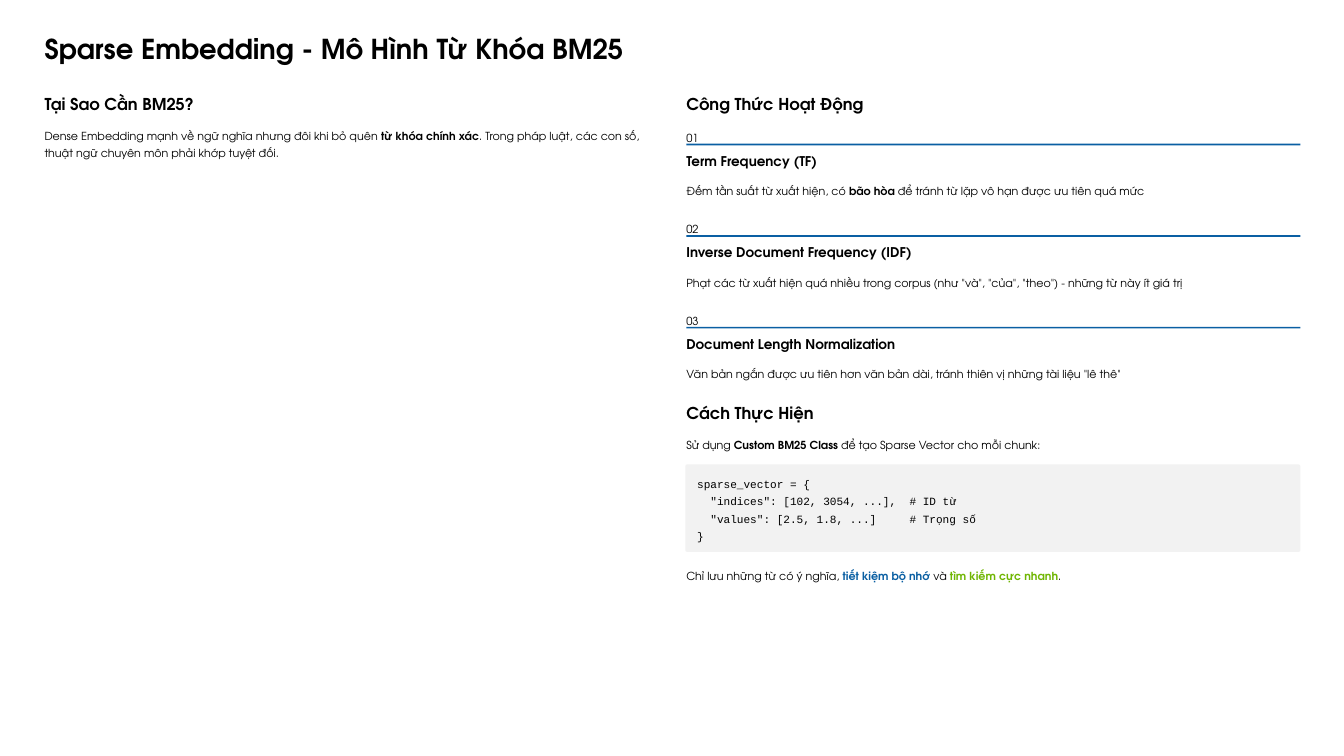
from dataclasses import dataclass

from pptx import Presentation
from pptx.dml.color import RGBColor
from pptx.enum.shapes import MSO_SHAPE
from pptx.enum.text import MSO_ANCHOR, MSO_AUTO_SIZE, PP_ALIGN
from pptx.util import Inches, Pt

COLORS = {"black": "000000", "blue": "0A5FA3", "green": "70B603",
          "gray": "F2F2F2", "white": "FFFFFF"}
SANS, MONO = "TeX Gyre Adventor", "Courier New"
LEFT, RIGHT, WIDE = 0.53, 8.17, 7.31
TOP, PITCH = 1.51, 1.09


@dataclass
class Style:
    size: float
    line: float
    bold: bool = False
    font: str = SANS


@dataclass
class Span:
    text: str
    bold: bool = False
    color: str = "black"


@dataclass
class Label:
    x: float
    y: float
    w: float
    h: float
    style: Style
    lines: list[list[Span]]
    wrap: bool = False


@dataclass
class Step:
    name: str
    width: float
    note: list[Span]


TITLE = Style(23.5, 29.5, True)
HEAD = Style(14, 17.5, True)
SUB = Style(11.5, 14.5, True)
BODY = Style(9.5, 15)
CODE = Style(9.5, 15, font=MONO)


def paint(name: str) -> RGBColor:
    return RGBColor.from_string(COLORS[name])


def write(shape, label: Label) -> None:
    shape.left, shape.top = Inches(label.x), Inches(label.y)
    shape.width, shape.height = Inches(label.w), Inches(label.h)
    frame, style = shape.text_frame, label.style
    frame.margin_left = frame.margin_right = 0
    frame.margin_top = frame.margin_bottom = 0
    frame.auto_size = MSO_AUTO_SIZE.NONE
    frame.word_wrap = label.wrap
    frame.vertical_anchor = MSO_ANCHOR.TOP
    for i, spans in enumerate(label.lines):
        para = frame.add_paragraph() if i else frame.paragraphs[0]
        para.alignment = PP_ALIGN.LEFT
        para.line_spacing = Pt(style.line)
        para.font.name, para.font.size = style.font, Pt(style.size)
        para.font.bold = style.bold
        para.font.color.rgb = paint("black")
        for span in spans:
            run = para.add_run()
            run.text = span.text
            if span.bold:
                run.font.bold = True
            if span.color != "black":
                run.font.color.rgb = paint(span.color)


def add_text(slide, label: Label) -> None:
    write(slide.shapes.add_textbox(0, 0, 0, 0), label)


def add_block(slide, kind: MSO_SHAPE, x: float, y: float, w: float, h: float,
              color: str, round_by: float = 0) -> None:
    block = slide.shapes.add_shape(kind, Inches(x), Inches(y), Inches(w), Inches(h))
    block.shadow.inherit = False
    block.fill.solid()
    block.fill.fore_color.rgb = paint(color)
    block.line.fill.background()
    if round_by:
        block.adjustments[0] = round_by


def add_step(slide, index: int, step: Step) -> None:
    y = TOP + index * PITCH
    add_text(slide, Label(RIGHT, y, 0.13, 0.17, BODY, [[Span(f"{index + 1:02}")]]))
    add_block(slide, MSO_SHAPE.RECTANGLE, RIGHT, y + 0.2, WIDE, 0.02, "blue")
    add_text(slide, Label(RIGHT, y + 0.3, step.width, 0.21, SUB, [[Span(step.name)]]))
    add_text(slide, Label(RIGHT, y + 0.64, WIDE, 0.21, BODY, [step.note]))


STEPS = [
    Step("Term Frequency (TF)", 1.65, [
        Span("Đếm tần suất từ xuất hiện, có "), Span("bão hòa", True),
        Span(" để tránh từ lặp vô hạn được ưu tiên quá mức")]),
    Step("Inverse Document Frequency (IDF)", 2.65, [
        Span('Phạt các từ xuất hiện quá nhiều trong corpus (như "và", "của", "theo")'
             ' - những từ này ít giá trị')]),
    Step("Document Length Normalization", 2.5, [
        Span('Văn bản ngắn được ưu tiên hơn văn bản dài, '
             'tránh thiên vị những tài liệu "lê thê"')]),
]

LISTING = """sparse_vector = {
  "indices": [102, 3054, ...],  # ID từ
  "values": [2.5, 1.8, ...]     # Trọng số
}"""

HEADING = Label(LEFT, 0.36, WIDE, 0.41, TITLE,
                [[Span("Sparse Embedding - Mô Hình Từ Khóa BM25")]])

LABELS = [
    Label(LEFT, 1.11, 1.99, 0.25, HEAD, [[Span("Tại Sao Cần BM25?")]]),
    Label(LEFT, 1.49, WIDE, 0.42, BODY, [[
        Span("Dense Embedding mạnh về ngữ nghĩa nhưng đôi khi bỏ quên "),
        Span("từ khóa chính xác", True),
        Span(". Trong pháp luật, các con số, thuật ngữ chuyên môn "
             "phải khớp tuyệt đối.")]], True),
    Label(RIGHT, 1.11, 2.04, 0.25, HEAD, [[Span("Công Thức Hoạt Động")]]),
    Label(RIGHT, 4.79, 1.99, 0.25, HEAD, [[Span("Cách Thực Hiện")]]),
    Label(RIGHT, 5.17, WIDE, 0.21, BODY, [[
        Span("Sử dụng "), Span("Custom BM25 Class", True),
        Span(" để tạo Sparse Vector cho mỗi chunk:")]]),
    Label(8.3, 5.63, 7.06, 0.85, CODE,
          [[Span(line)] for line in LISTING.split("\n")], True),
    Label(RIGHT, 6.73, WIDE, 0.21, BODY, [[
        Span("Chỉ lưu những từ có ý nghĩa, "),
        Span("tiết kiệm bộ nhớ", True, "blue"), Span(" và "),
        Span("tìm kiếm cực nhanh", True, "green"), Span(".")]]),
]


def main() -> None:
    deck = Presentation()
    deck.slide_width, deck.slide_height = Inches(16), Inches(9)
    slide = deck.slides.add_slide(deck.slide_layouts[5])
    slide.background.fill.solid()
    slide.background.fill.fore_color.rgb = paint("white")

    # Title
    write(slide.shapes.title, HEADING)

    # Numbered steps
    for i, step in enumerate(STEPS):
        add_step(slide, i, step)

    # Code panel, then the texts of both columns
    add_block(slide, MSO_SHAPE.ROUNDED_RECTANGLE, 8.16, 5.53, 7.32, 1.04, "gray", 0.02)
    for label in LABELS:
        add_text(slide, label)

    deck.save("out.pptx")


if __name__ == "__main__":
    main()
